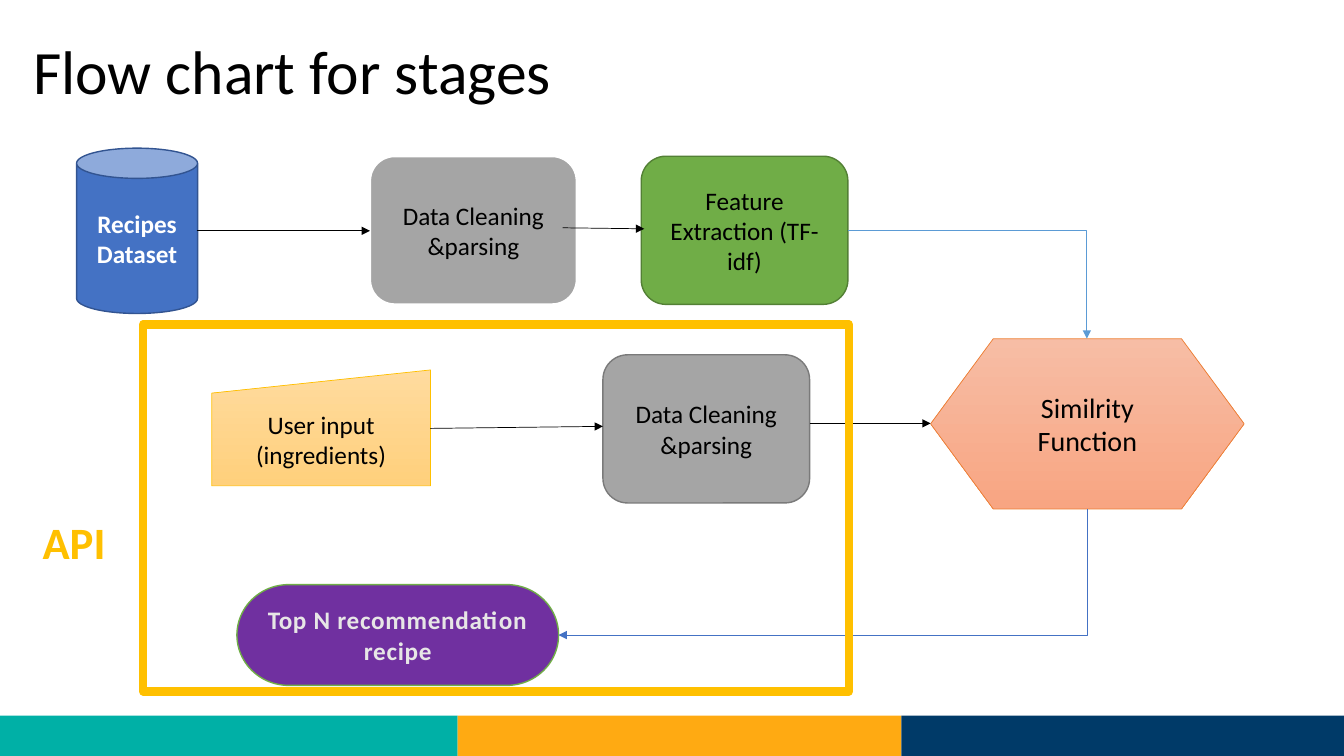
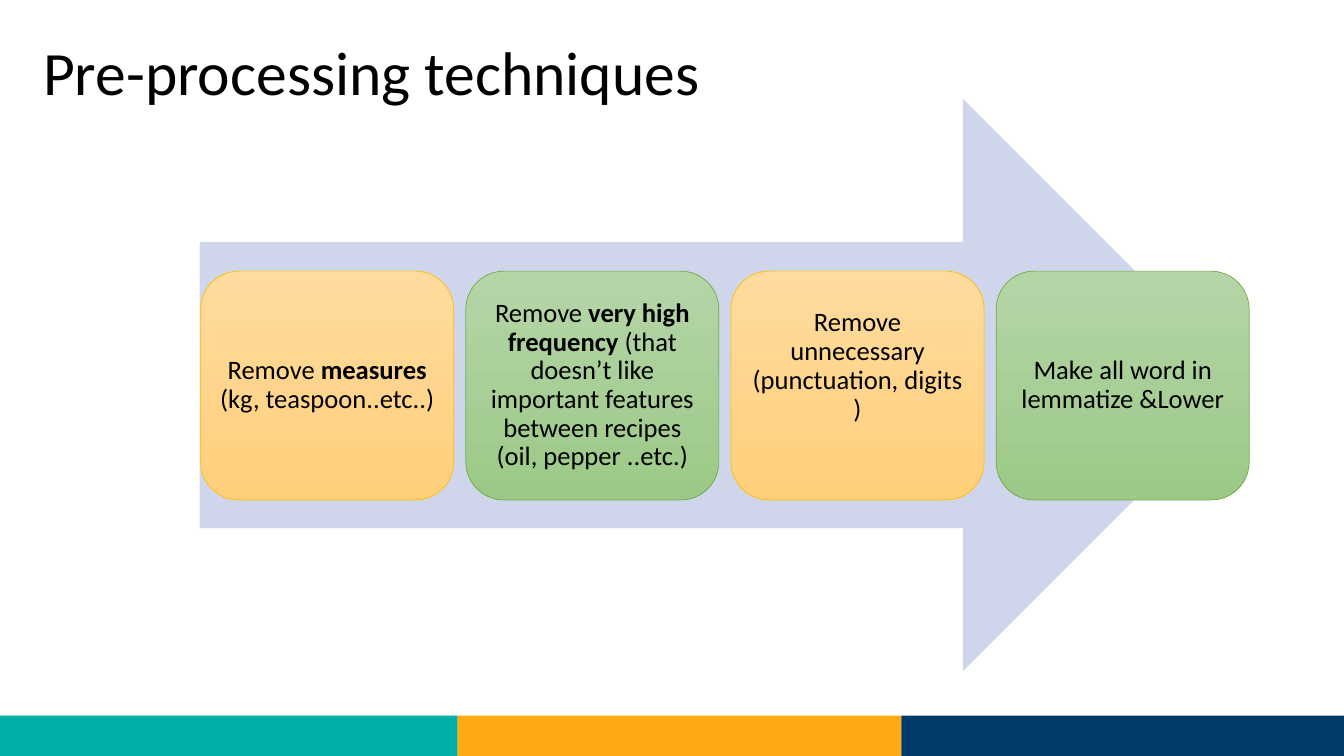
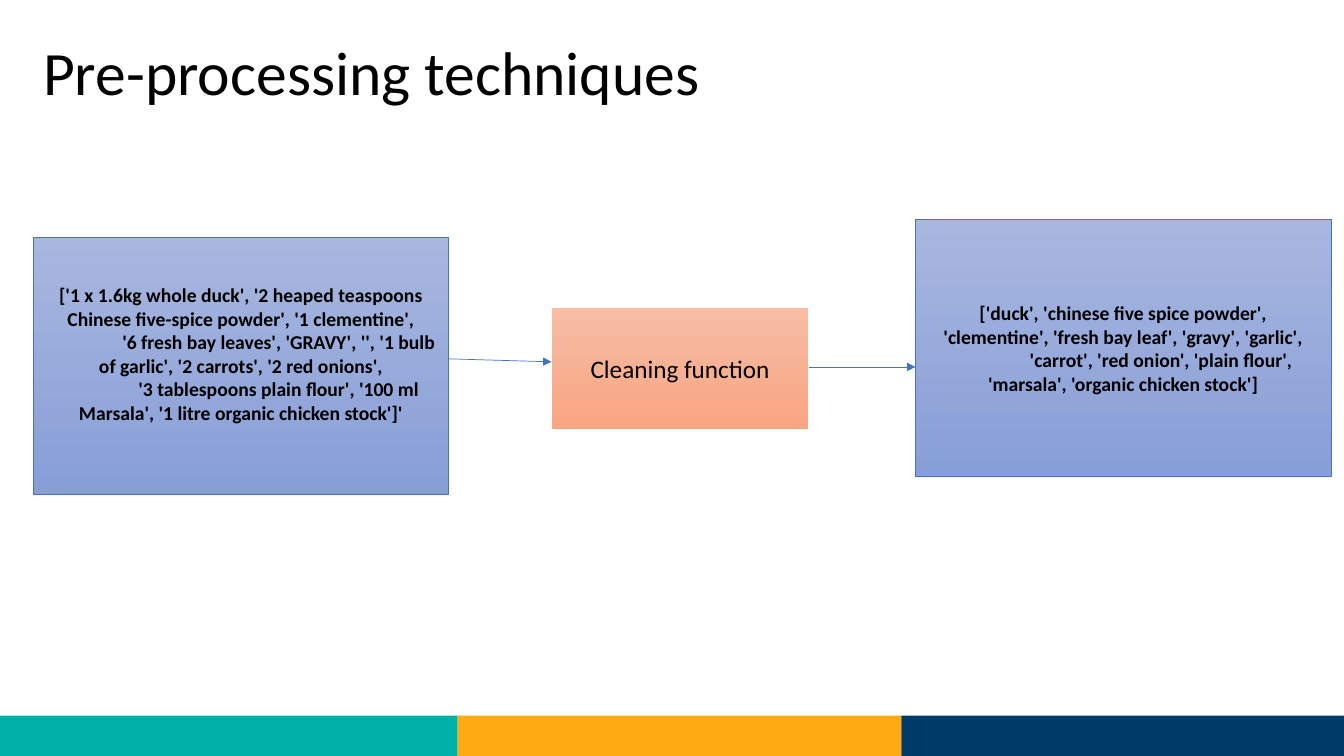
from dataclasses import dataclass

from lxml.etree import SubElement
from pptx import Presentation
from pptx.dml.color import RGBColor
from pptx.enum.shapes import MSO_CONNECTOR, MSO_SHAPE
from pptx.enum.text import MSO_ANCHOR, PP_ALIGN
from pptx.oxml.ns import qn
from pptx.util import Emu, Pt


@dataclass(frozen=True)
class Theme:
    font: str = "Calibri"
    title_size: int = 44
    api_size: int = 32
    function_size: int = 20
    step_size: int = 19
    body_size: int = 18
    list_size: int = 14
    black: str = "000000"
    white: str = "FFFFFF"
    light: str = "E7E6E6"
    amber: str = "FFC000"
    blue: str = "4472C4"
    sky: str = "5B9BD5"
    pale: str = "CFD5EA"
    arrow_width: float = 0.5


THEME = Theme()
EMU_PER_PX = 9144
SLIDE_SIZE = (1333, 750)
BANDS = [(454, "00B0A6"), (440, "FFAA12"), (440, "003A68")]
BAND_TOP, BAND_HEIGHT = 710, 40

STYLES = {
    "database": ("4472C4", "325491", 1),
    "cleaning": ("A5A5A5", "FFFFFF", 1.5),
    "input cleaning": ("A5A5A5", "7A7A7A", 1),
    "features": ("70AD47", "538035", 1),
    "result": ("7030A0", "70AD47", 1),
    "yellow": (("FFDB9E", "FFD07C"), "FFC000", 0.5),
    "green": (("B5D5A7", "9CC987"), "70AD47", 0.5),
    "orange": (("F7BDA5", "F8A582"), "ED7D31", 0.5),
    "plain orange": (("F7BDA5", "F8A582"), "FFFFFF", 0.5),
    "blue": (("A8B7DF", "889ED7"), "4472C4", 0.5),
    "pale": (THEME.pale, None, 0),
    "frame": (None, THEME.amber, 6),
}

FLOW_TITLE = ("Flow chart for stages", 23, 1)
PREPROCESSING_TITLE = ("Pre-processing techniques", 33, 2)

STAGES = {
    "dataset": (MSO_SHAPE.CAN, (76, 147, 120, 164), "database", "Recipes Dataset",
                {"color": THEME.white, "bold": True}),
    "cleaning": (MSO_SHAPE.ROUNDED_RECTANGLE, (367, 155, 205, 147), "cleaning",
                 "Data Cleaning &parsing", {}),
    "features": (MSO_SHAPE.ROUNDED_RECTANGLE, (636, 155, 205, 147), "features",
                 "Feature Extraction (TF-idf)", {}),
    "input cleaning": (MSO_SHAPE.ROUNDED_RECTANGLE, (598, 352, 205, 147), "input cleaning",
                       "Data Cleaning &parsing", {}),
    "input": (MSO_SHAPE.FLOWCHART_MANUAL_INPUT, (210, 367, 217, 115), "yellow",
              "User input (ingredients)", {}),
    "result": (MSO_SHAPE.FLOWCHART_TERMINATOR, (235, 580, 319, 100), "result",
               "Top N recommendation recipe",
               {"color": THEME.light, "bold": True, "spacing": 50}),
    "similarity": (MSO_SHAPE.FLOWCHART_PREPARATION, (923, 336, 311, 169), "orange",
                   "Similrity Function", {"size": THEME.function_size}),
}
STAGE_ARROWS = [
    (195, 229, 367, 229),
    (558, 226, 639, 227),
    (427, 425, 598, 423),
    (803, 420, 923, 420),
]
TOP, BOTTOM, RIGHT = 0, 2, 3
STAGE_BENDS = [
    ("features", RIGHT, "similarity", TOP, THEME.sky, (841, 229, 1078, 336), False),
    ("similarity", BOTTOM, "result", RIGHT, THEME.blue, (1078, 505, 554, 630), True),
]
API_FRAME = (142, 322, 700, 364)
API_LABEL = ("API", (26, 505, 95, 64))

STEP_ARROW = (198, 98, 1041, 568)
STEP_LEFT, STEP_TOP, STEP_WIDTH, STEP_HEIGHT, STEP_GAP = 199, 269, 251, 227, 12
STEP_INSET = 8
STEPS = [
    ("yellow", [("Remove ", False), ("measures", True), (" (kg, teaspoon..etc..)", False)], 8),
    ("green", [("Remove ", False), ("very high frequency ", True),
               ("(that doesn’t like important features between recipes (oil, pepper ..etc.)",
                False)], 8),
    ("yellow", [("Remove unnecessary (punctuation, digits )", False)], 46),
    ("green", [("Make all word in lemmatize &Lower", False)], 8),
]

LIST_INDENT = 75
INGREDIENT_LISTS = [
    ((33, 235, 412, 255), 28, [
        "['1 x 1.6kg whole duck', '2 heaped teaspoons Chinese five-spice powder', '1 clementine',",
        "'6 fresh bay leaves', 'GRAVY', '', '1 bulb of garlic', '2 carrots', '2 red onions',",
        "'3 tablespoons plain flour', '100 ml Marsala', '1 litre organic chicken stock']'",
    ]),
    ((908, 218, 412, 255), 5, [
        "['duck', 'chinese five spice powder', 'clementine', 'fresh bay leaf', 'gravy', 'garlic',",
        "'carrot', 'red onion', 'plain flour', 'marsala', 'organic chicken stock']",
    ]),
]
CLEANING_FUNCTION = ("Cleaning function", (547, 305, 255, 121))
CLEANING_ARROWS = [(445, 356, 547, 359), (802, 364, 908, 364)]


def px(value):
    return Emu(round(value * EMU_PER_PX))


def rgb(value):
    return RGBColor.from_string(value)


def paint(shape, style):
    fill, line, width = STYLES[style]
    if fill is None:
        shape.fill.background()
    elif isinstance(fill, tuple):
        shape.fill.gradient()
        shape.fill.gradient_angle = 270
        for stop, color in zip(shape.fill.gradient_stops, fill):
            stop.color.rgb = rgb(color)
    else:
        shape.fill.solid()
        shape.fill.fore_color.rgb = rgb(fill)
    if line is None:
        shape.line.fill.background()
    else:
        shape.line.color.rgb = rgb(line)
        shape.line.width = Pt(width)


def write(shape, paragraphs, size=THEME.body_size, color=THEME.black, bold=False,
          align=PP_ALIGN.CENTER, line_spacing=None, spacing=None, indent=0, wrap=True):
    frame = shape.text_frame
    frame.word_wrap = wrap
    frame.vertical_anchor = MSO_ANCHOR.MIDDLE
    for index, runs in enumerate(paragraphs):
        paragraph = frame.paragraphs[0] if index == 0 else frame.add_paragraph()
        paragraph.alignment = align
        if line_spacing:
            paragraph.line_spacing = line_spacing
        if indent and index:
            paragraph._p.get_or_add_pPr().set("indent", str(px(indent)))
        for text, run_bold in runs:
            run = paragraph.add_run()
            run.text = text
            run.font.name = THEME.font
            run.font.size = Pt(size)
            run.font.bold = bold or run_bold
            run.font.color.rgb = rgb(color)
            if spacing:
                run._r.get_or_add_rPr().set("spc", str(spacing))


def add_box(slide, kind, box, style):
    shape = slide.shapes.add_shape(kind, *map(px, box))
    shape.shadow.inherit = False
    paint(shape, style)
    return shape


def add_label(slide, text, box, **options):
    label = slide.shapes.add_textbox(*map(px, box))
    write(label, [[(text, False)]], **options)


def add_arrow(slide, ends, color, kind=MSO_CONNECTOR.STRAIGHT):
    arrow = slide.shapes.add_connector(kind, *map(px, ends))
    arrow.line.color.rgb = rgb(color)
    arrow.line.width = Pt(THEME.arrow_width)
    SubElement(arrow.line._get_or_add_ln(), qn("a:tailEnd"), type="triangle")
    SubElement(arrow._element.spPr, qn("a:effectLst"))
    return arrow


def add_bend(slide, start, start_site, end, end_site, color, ends, down_first):
    arrow = add_arrow(slide, ends, color, MSO_CONNECTOR.ELBOW)
    arrow.begin_connect(start, start_site)
    arrow.end_connect(end, end_site)
    x1, y1, x2, y2 = ends
    width, height = abs(x2 - x1), abs(y2 - y1)
    frame = arrow._element.spPr.find(qn("a:xfrm"))
    if down_first:
        width, height = height, width
        frame.attrib.pop("flipH", None)
        frame.set("rot", "5400000")
    arrow.left, arrow.top = px((x1 + x2 - width) / 2), px((y1 + y2 - height) / 2)
    arrow.width, arrow.height = px(width), px(height)
    arrow._element.spPr.find(qn("a:prstGeom")).set("prst", "bentConnector2")


def add_slide(deck, title):
    slide = deck.slides.add_slide(deck.slide_layouts[6])
    left = 0
    for width, color in BANDS:
        band = slide.shapes.add_shape(
            MSO_SHAPE.RECTANGLE, *map(px, (left, BAND_TOP, width, BAND_HEIGHT)))
        band.shadow.inherit = False
        band.fill.solid()
        band.fill.fore_color.rgb = rgb(color)
        band.line.fill.background()
        left += width
    text, title_left, title_top = title
    add_label(slide, text, (title_left, title_top, 1150, 145), size=THEME.title_size,
              align=PP_ALIGN.LEFT, line_spacing=0.9)
    return slide


def build_flow(deck):
    slide = add_slide(deck, FLOW_TITLE)
    stages = {}
    for name, (kind, box, style, text, options) in STAGES.items():
        stages[name] = add_box(slide, kind, box, style)
        write(stages[name], [[(text, False)]], **options)
    for ends in STAGE_ARROWS:
        add_arrow(slide, ends, THEME.black)
    for start, start_site, end, end_site, color, ends, down_first in STAGE_BENDS:
        add_bend(slide, stages[start], start_site, stages[end], end_site,
                 color, ends, down_first)
    add_box(slide, MSO_SHAPE.RECTANGLE, API_FRAME, "frame")
    add_label(slide, *API_LABEL, size=THEME.api_size, color=THEME.amber, bold=True, wrap=False)


def build_steps(deck):
    slide = add_slide(deck, PREPROCESSING_TITLE)
    add_box(slide, MSO_SHAPE.RIGHT_ARROW, STEP_ARROW, "pale")
    for index, (style, runs, bottom) in enumerate(STEPS):
        left = STEP_LEFT + index * (STEP_WIDTH + STEP_GAP)
        step = add_box(slide, MSO_SHAPE.ROUNDED_RECTANGLE,
                       (left, STEP_TOP, STEP_WIDTH, STEP_HEIGHT), style)
        frame = step.text_frame
        frame.margin_left = frame.margin_right = frame.margin_top = px(STEP_INSET)
        frame.margin_bottom = px(bottom)
        write(step, [runs], size=THEME.step_size, line_spacing=0.9)


def build_cleaning(deck):
    slide = add_slide(deck, PREPROCESSING_TITLE)
    text, box = CLEANING_FUNCTION
    function = add_box(slide, MSO_SHAPE.FLOWCHART_PROCESS, box, "plain orange")
    write(function, [[(text, False)]])
    for box, bottom, lines in INGREDIENT_LISTS:
        ingredients = add_box(slide, MSO_SHAPE.RECTANGLE, box, "blue")
        ingredients.text_frame.margin_bottom = px(bottom)
        write(ingredients, [[(line, True)] for line in lines], size=THEME.list_size,
              indent=LIST_INDENT)
    for ends in CLEANING_ARROWS:
        add_arrow(slide, ends, THEME.blue)


def main():
    deck = Presentation()
    deck.slide_width, deck.slide_height = map(px, SLIDE_SIZE)
    build_flow(deck)
    build_steps(deck)
    build_cleaning(deck)
    deck.save("out.pptx")


if __name__ == "__main__":
    main()
